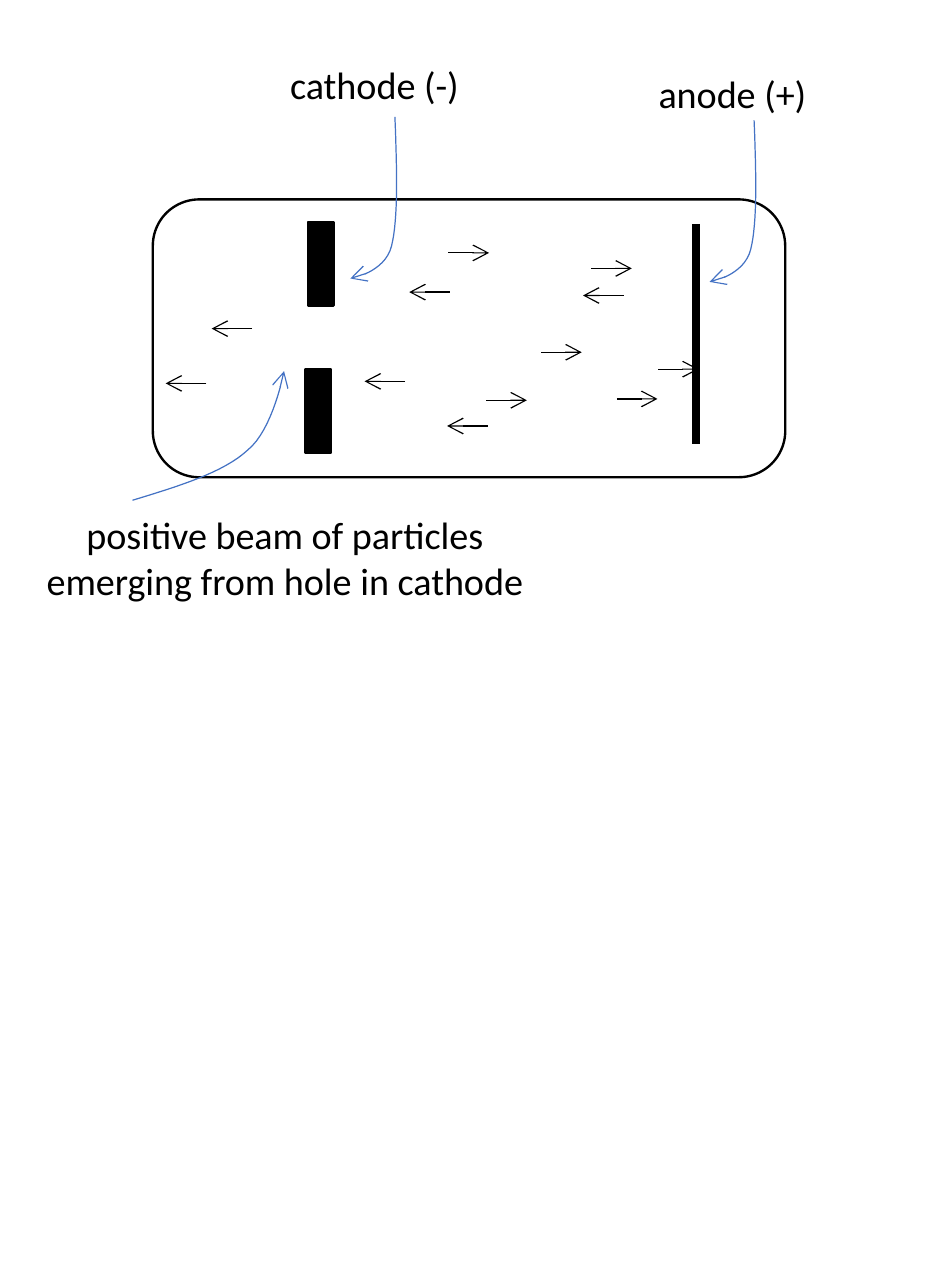
from pptx import Presentation
from pptx.dml.color import RGBColor
from pptx.enum.shapes import MSO_CONNECTOR as CONN, MSO_SHAPE as SHAPE
from pptx.enum.text import MSO_AUTO_SIZE as FIT, PP_ALIGN as AL
from pptx.oxml.ns import qn
from pptx.util import Cm, Pt
from lxml.etree import SubElement

BLACK = RGBColor(0x00, 0x00, 0x00)
BLUE = RGBColor(0x44, 0x72, 0xC4)
FONT = {"name": "Calibri", "size": Pt(16)}

LABELS = [
    ((9.47, 0.91, 2.72, 0.94), ["anode (+)"], AL.CENTER),
    ((4.04, 0.79, 3.05, 0.94), ["cathode (-)"], AL.LEFT),
    ((0.33, 7.44, 7.77, 1.63),
     ["positive beam of particles", "emerging from hole in cathode"], AL.CENTER),
]
TUBE = (2.26, 2.95, 9.35, 4.11)
PLATES = [(2.29, 0.33), (2.26, 2.51)]
PLATE_SIZE = (0.38, 1.24)
ANODE = (8.03, 0.36, 8.03, 3.61)
ARROW = 0.6
TO_ANODE = [(7.47, 2.51), (4.37, 0.79), (4.93, 2.97), (5.74, 2.26),
            (6.48, 1.02), (6.86, 2.95)]
TO_CATHODE = [(1.47, 1.91), (0.79, 2.72), (4.39, 1.37), (3.73, 2.69),
              (4.95, 3.35), (6.96, 1.42)]
ELECTRODE_BEND = [(0, 0), (0.03, 0.76), (0.05, 1.52), (-0.05, 1.91),
                  (-0.15, 2.31), (-0.66, 2.39), (-0.66, 2.39)]
BEAM_BEND = [(0, 0), (0.66, -0.2), (1.35, -0.41), (1.7, -0.74),
             (2.08, -1.04), (2.24, -1.91), (2.24, -1.91)]
POINTERS = [((8.89, -1.17), ELECTRODE_BEND), ((3.58, -1.22), ELECTRODE_BEND),
            ((-0.3, 4.45), BEAM_BEND)]


def style_line(s, color, width, arrow=False):
    """Set the outline of a shape or connector, with an optional arrowhead."""
    s.line.color.rgb = color
    s.line.width = Pt(width)
    if arrow:
        SubElement(s.line._get_or_add_ln(), qn("a:tailEnd"), type="arrow")


def add_block(slide, kind, box, fill=None):
    """Add an outlined preset shape, filled when a colour is given."""
    s = slide.shapes.add_shape(kind, *map(Cm, box))
    s.shadow.inherit = False
    if fill is None:
        s.fill.background()
    else:
        s.fill.solid()
        s.fill.fore_color.rgb = fill
    style_line(s, BLACK, 1)


def add_line(slide, ends, width, arrow=False):
    """Add a straight black line between two points."""
    s = slide.shapes.add_connector(CONN.STRAIGHT, *map(Cm, ends))
    SubElement(s._element.spPr, qn("a:effectLst"))
    style_line(s, BLACK, width, arrow)


def curve_points(bend, steps=16):
    """Return points along the two cubic arcs of a bend."""
    points = [bend[0]]
    for a, b, c, d in (bend[:4], bend[3:]):
        for i in range(1, steps + 1):
            t = i / steps
            u = 1 - t
            points.append(tuple(
                u**3 * a[k] + 3 * u * u * t * b[k] + 3 * u * t * t * c[k] + t**3 * d[k]
                for k in (0, 1)))
    return points


def add_pointer(slide, x, y, bend):
    """Add a curved blue arrow that starts at the given point."""
    points = [(Cm(x + dx), Cm(y + dy)) for dx, dy in curve_points(bend)]
    builder = slide.shapes.build_freeform(*points[0])
    builder.add_line_segments(points[1:], close=False)
    s = builder.convert_to_shape()
    s.shadow.inherit = False
    s.fill.background()
    style_line(s, BLUE, 0.5, arrow=True)


def add_label(slide, box, lines, align):
    """Add an unwrapped label with one paragraph per line."""
    tf = slide.shapes.add_textbox(*map(Cm, box)).text_frame
    tf.word_wrap = False
    tf.auto_size = FIT.SHAPE_TO_FIT_TEXT
    tf.text = "\n".join(lines)
    for p in tf.paragraphs:
        p.alignment = align
        for r in p.runs:
            for key, value in FONT.items():
                setattr(r.font, key, value)
            r.font.color.rgb = BLACK


def add_tube(slide, box):
    """Draw the discharge tube, its electrodes, particles and pointers."""
    x, y = box[:2]
    add_block(slide, SHAPE.ROUNDED_RECTANGLE, box)
    x1, y1, x2, y2 = ANODE
    add_line(slide, (x + x1, y + y1, x + x2, y + y2), 3)
    for px, py in PLATES:
        add_block(slide, SHAPE.RECTANGLE, (x + px, y + py, *PLATE_SIZE), BLACK)
    for particles, step in ((TO_ANODE, ARROW), (TO_CATHODE, -ARROW)):
        for px, py in particles:
            add_line(slide, (x + px, y + py, x + px + step, y + py), 0.5, arrow=True)
    for (px, py), bend in POINTERS:
        add_pointer(slide, x + px, y + py, bend)


def main():
    """Build the slide and save it."""
    prs = Presentation()
    prs.slide_width, prs.slide_height = Cm(14), Cm(19.05)
    slide = prs.slides.add_slide(prs.slide_layouts[6])
    for box, lines, align in LABELS:
        add_label(slide, box, lines, align)
    add_tube(slide, TUBE)
    prs.save("out.pptx")


if __name__ == "__main__":
    main()
